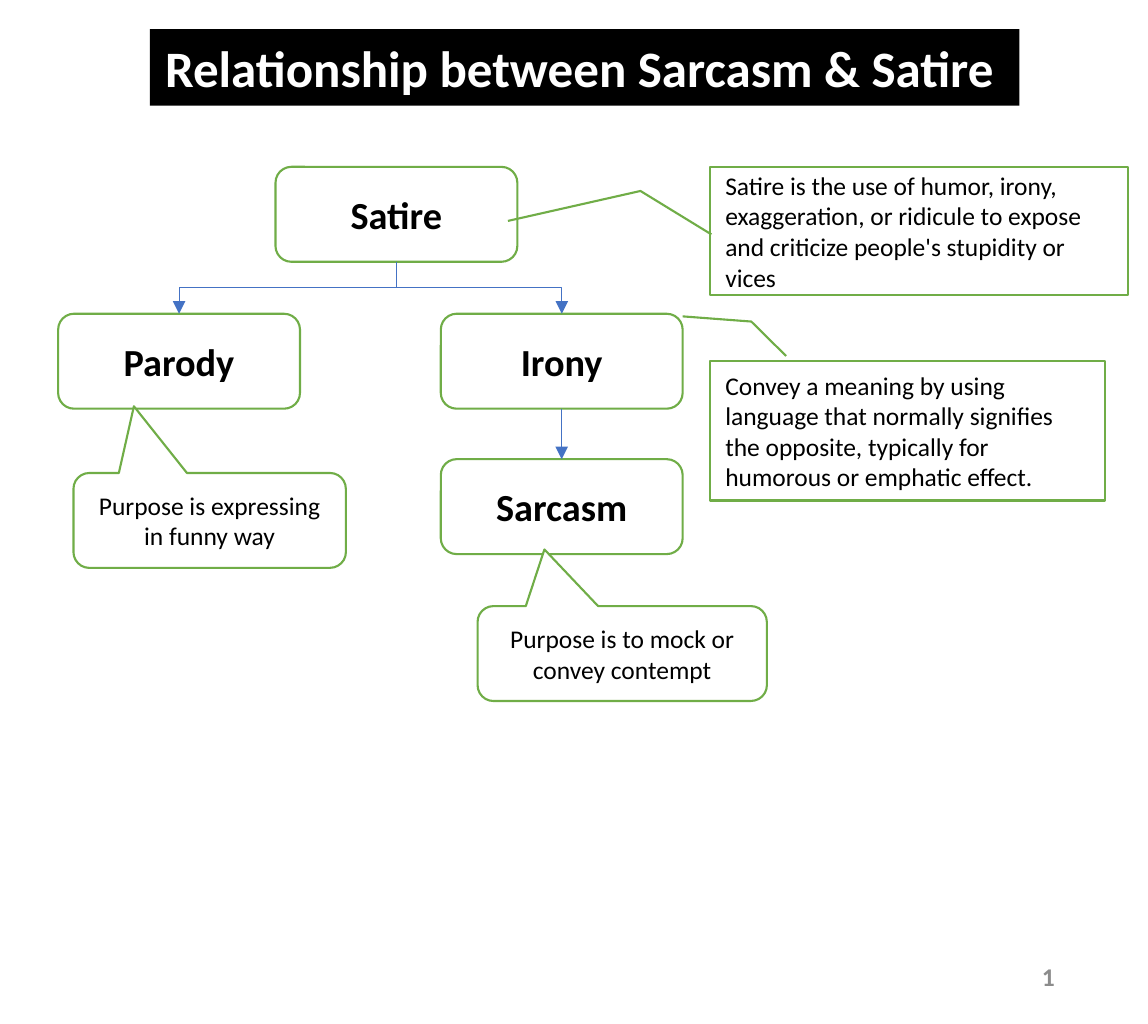
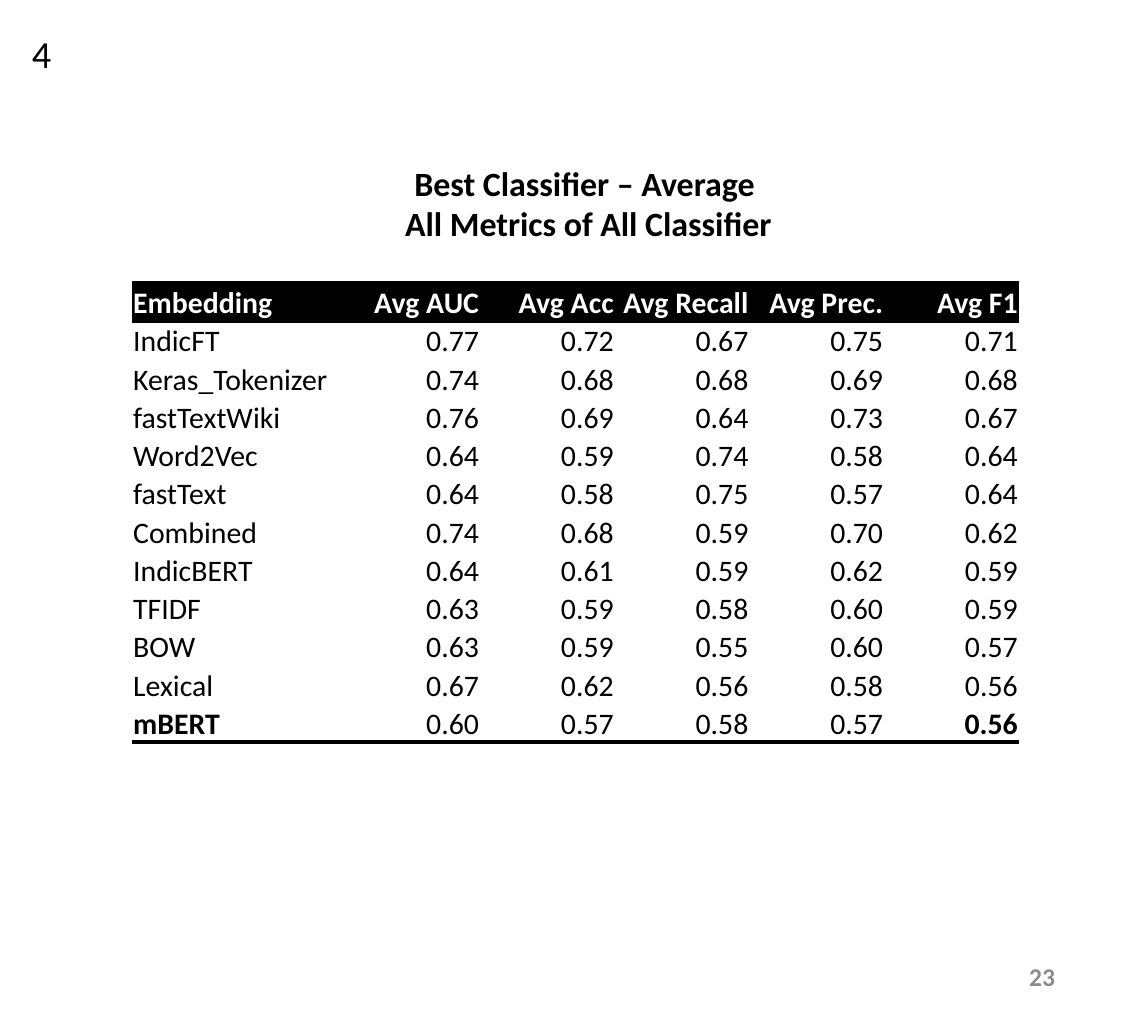
from pptx import Presentation
from pptx.dml.color import RGBColor as RGB
from pptx.enum.shapes import MSO_CONNECTOR as LINK, MSO_SHAPE as SHAPE
from pptx.enum.text import MSO_ANCHOR as ANCHOR, PP_ALIGN as ALIGN
from pptx.oxml import parse_xml
from pptx.oxml.ns import nsdecls, qn
from pptx.util import Inches, Pt

COLOR = {"black": "000000", "white": "FFFFFF", "green": "70AD47",
         "blue": "4472C4", "gray": "8C8C8C"}
FONT = "Calibri"
NO_STYLE = "{2D5ABB26-0587-4C30-8999-92F81FD0307C}"


def write(frame, lines, size, color="black", bold=False, align=ALIGN.LEFT):
    for i, line in enumerate(lines):
        para = frame.paragraphs[0] if i == 0 else frame.add_paragraph()
        para.text = line
        para.alignment = align
        font = para.font
        font.name, font.size, font.bold = FONT, Pt(size), bold
        font.color.rgb = RGB.from_string(COLOR[color])


def draw(slide, kind, spot, fill="white", edge="green"):
    shape = slide.shapes.add_shape(kind, *map(Inches, spot))
    shape.shadow.inherit = False
    shape.fill.solid()
    shape.fill.fore_color.rgb = RGB.from_string(COLOR[fill])
    if edge:
        shape.line.color.rgb = RGB.from_string(COLOR[edge])
        shape.line.width = Pt(1)
    else:
        shape.line.fill.background()
    shape.text_frame.vertical_anchor = ANCHOR.MIDDLE
    return shape


deck = Presentation()
deck.slide_width, deck.slide_height = Inches(7.5), Inches(6.69)
blank = deck.slide_layouts[6]
tree, scores = [deck.slides.add_slide(blank) for _ in range(2)]

# Page numbers
for slide, number in ((tree, "1"), (scores, "23")):
    frame = slide.shapes.add_textbox(
        Inches(5.3), Inches(6.2), Inches(1.69), Inches(0.36)).text_frame
    frame.word_wrap = True
    frame.vertical_anchor = ANCHOR.MIDDLE
    write(frame, [number], 12, "gray", True, ALIGN.RIGHT)

# Slide 1: title band
band = draw(tree, SHAPE.RECTANGLE, (0.98, 0.19, 5.68, 0.5), "black", None)
band.text_frame.word_wrap = False
write(band.text_frame, ["Relationship between Sarcasm & Satire"], 24, "white", True)

# Tree nodes
wide, high = 1.58, 0.62
nodes = {"Satire": (1.8, 1.09), "Parody": (0.38, 2.05),
         "Irony": (2.88, 2.05), "Sarcasm": (2.88, 3)}
for name, (left, top) in nodes.items():
    node = draw(tree, SHAPE.ROUNDED_RECTANGLE, (left, top, wide, high))
    write(node.text_frame, [name], 18, bold=True, align=ALIGN.CENTER)

# Callouts
LEADER, BUBBLE = SHAPE.LINE_CALLOUT_2, SHAPE.ROUNDED_RECTANGULAR_CALLOUT
notes = [
    (LEADER, (4.64, 1.09, 2.73, 0.84), (0.526, 0.003, 0.188, -0.167, 0.421, -0.484),
     "Satire is the use of humor, irony, exaggeration, or ridicule to expose "
     "and criticize people's stupidity or vices"),
    (LEADER, (4.64, 2.36, 2.58, 0.91), (-0.038, 0.192, -0.285, 0.104, -0.322, -0.07),
     "Convey a meaning by using language that normally signifies the opposite, "
     "typically for humorous or emphatic effect."),
    (BUBBLE, (0.48, 3.09, 1.78, 0.62), (-0.278, -1.203, 0.167),
     "Purpose is expressing in funny way"),
    (BUBBLE, (3.12, 3.96, 1.89, 0.62), (-0.269, -1.097, 0.167),
     "Purpose is to mock or convey contempt"),
]
for kind, spot, bends, words in notes:
    note = draw(tree, kind, spot)
    for i, bend in enumerate(bends):
        note.adjustments[i] = bend
    write(note.text_frame, [words], 12,
          align=ALIGN.CENTER if kind == BUBBLE else ALIGN.LEFT)

# Arrows from parent to child; an elbow is a turned box around its midpoint
for start, end in (("Satire", "Irony"), ("Satire", "Parody"), ("Irony", "Sarcasm")):
    x1, y1 = nodes[start][0] + wide / 2, nodes[start][1] + high
    x2, y2 = nodes[end][0] + wide / 2, nodes[end][1]
    kind, turn, ends = LINK.STRAIGHT, 0, (x1, y1, x2, y2)
    if x1 != x2:
        kind, turn = LINK.ELBOW, 270 if x2 > x1 else 90
        midx, midy = (x1 + x2) / 2, (y1 + y2) / 2
        half, span = (y2 - y1) / 2, abs(x2 - x1) / 2
        side = half if x2 > x1 else -half
        ends = (midx + side, midy - span, midx - side, midy + span)
    arrow = tree.shapes.add_connector(kind, *map(Inches, ends))
    arrow.line.color.rgb = RGB.from_string(COLOR["blue"])
    arrow.line.width = Pt(0.5)
    props = arrow.element.spPr
    if turn:
        props.find(qn("a:xfrm")).set("rot", str(turn * 60000))
    props.find(qn("a:ln")).append(
        parse_xml(f'<a:tailEnd {nsdecls("a")} type="triangle"/>'))
    props.append(parse_xml(f'<a:effectLst {nsdecls("a")}/>'))

# Slide 2: heading and corner number
head = scores.shapes.add_textbox(
    Inches(1.79), Inches(1.01), Inches(4.11), Inches(0.64)).text_frame
head.word_wrap = True
write(head, ["Best Classifier – Average ", "All Metrics of All Classifier"],
      16, bold=True, align=ALIGN.CENTER)
corner = scores.shapes.add_textbox(
    Inches(0.11), Inches(0.15), Inches(0.33), Inches(0.4)).text_frame
corner.word_wrap = False
write(corner, ["4"], 18)

# Score table
rows = [
    ("Embedding", "Avg AUC", "Avg Acc", "Avg Recall", "Avg Prec.", "Avg F1"),
    ("IndicFT", "0.77", "0.72", "0.67", "0.75", "0.71"),
    ("Keras_Tokenizer", "0.74", "0.68", "0.68", "0.69", "0.68"),
    ("fastTextWiki", "0.76", "0.69", "0.64", "0.73", "0.67"),
    ("Word2Vec", "0.64", "0.59", "0.74", "0.58", "0.64"),
    ("fastText", "0.64", "0.58", "0.75", "0.57", "0.64"),
    ("Combined", "0.74", "0.68", "0.59", "0.70", "0.62"),
    ("IndicBERT", "0.64", "0.61", "0.59", "0.62", "0.59"),
    ("TFIDF", "0.63", "0.59", "0.58", "0.60", "0.59"),
    ("BOW", "0.63", "0.59", "0.55", "0.60", "0.57"),
    ("Lexical", "0.67", "0.62", "0.56", "0.58", "0.56"),
    ("mBERT", "0.60", "0.57", "0.58", "0.57", "0.56"),
]
last, end = len(rows) - 1, len(rows[0]) - 1
holder = scores.shapes.add_table(len(rows), len(rows[0]), Inches(0.86), Inches(1.85),
                                 Inches(5.78), Inches(0.25 * len(rows)))
table = holder.table
table.first_row = table.horz_banding = False
for style in holder.element.iter(qn("a:tableStyleId")):
    style.text = NO_STYLE
for c, col in enumerate(table.columns):
    col.width = Inches(0.88 if c else 1.4)

for r, row in enumerate(rows):
    for c, words in enumerate(row):
        cell = table.cell(r, c)
        cell.margin_left = cell.margin_right = cell.margin_top = Inches(0.01)
        cell.margin_bottom = 0
        cell.vertical_anchor = ANCHOR.BOTTOM
        cell.fill.solid()
        cell.fill.fore_color.rgb = RGB.from_string(COLOR["white" if r else "black"])
        write(cell.text_frame, [words], 14, "black" if r else "white",
              r == 0 or (r == last and c in (0, end)),
              ALIGN.RIGHT if c else ALIGN.LEFT)
        # Rules above and below the header, and below the last row
        sides = ("lnT", "lnB") if r == 0 else ("lnB",) if r == last else ()
        props = cell.text_frame._txBody.getparent().get_or_add_tcPr()
        for i, side in enumerate(sides):
            props.insert(i, parse_xml(
                f'<a:{side} {nsdecls("a")} w="{Pt(2)}"><a:solidFill>'
                f'<a:srgbClr val="{COLOR["black"]}"/></a:solidFill></a:{side}>'))

deck.save("out.pptx")
